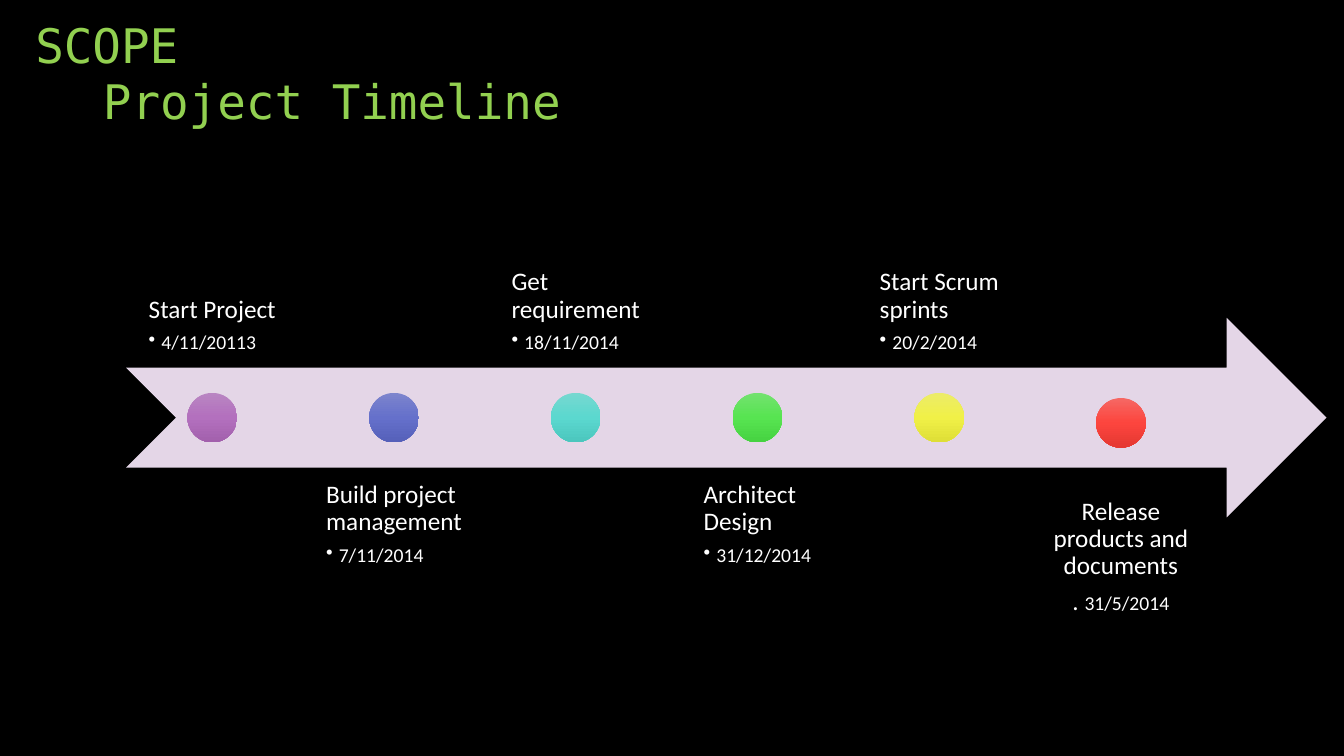
from copy import deepcopy

from lxml.etree import SubElement
from pptx import Presentation
from pptx.dml.color import RGBColor
from pptx.enum.shapes import MSO_SHAPE
from pptx.enum.text import MSO_ANCHOR, MSO_AUTO_SIZE, PP_ALIGN
from pptx.oxml.ns import qn
from pptx.util import Cm, Pt

HEADING = {"size": 34, "font": "DejaVu Sans Mono", "color": "92D050"}
DATE_SIZE = 14
STEP = 4.58  # distance between milestones
LABEL_WIDTH = 4.34
DOT = 1.25
LAST_DROP = 0.13  # the final dot sits slightly lower

MILESTONES = [
    ("Start Project", "4/11/20113", ("B985C2", "B370BE", "A260AC")),
    ("Build project management", "7/11/2014", ("7D85CD", "6570CB", "5560B9")),
    ("Get requirement", "18/11/2014", ("76D8D0", "5BD8CF", "4BC6BD")),
    ("Architect Design", "31/12/2014", ("73E26F", "57E451", "46D241")),
    ("Start Scrum sprints", "20/2/2014", ("ECEC69", "F0F047", "DEDE36")),
    ("Release products and documents", "31/5/2014", ("F66864", "FC453E", "E53832")),
]


def rgb(value):
    return RGBColor.from_string(value)


def write(paragraph, text, size=18, font="Calibri", color="FFFFFF",
          align=PP_ALIGN.LEFT, after=0, bullet=False):
    """Add a formatted run and format its paragraph."""
    if bullet:
        paragraph.level = 1
        properties = paragraph._p.get_or_add_pPr()
        properties.set("marL", str(Cm(0.32)))
        properties.set("indent", str(-Cm(0.32)))
        SubElement(properties, qn("a:buChar")).set("char", "•")
    paragraph.alignment = align
    paragraph.line_spacing = 0.9
    paragraph.space_before = Pt(0)
    paragraph.space_after = Pt(after)
    run = paragraph.add_run()
    run.text = text
    run.font.size = Pt(size)
    run.font.name = font
    run.font.color.rgb = rgb(color)


def prepare_frame(shape, anchor, inset=None):
    frame = shape.text_frame
    frame.word_wrap = True
    frame.auto_size = MSO_AUTO_SIZE.NONE
    frame.vertical_anchor = anchor
    if inset is not None:
        frame.margin_left = frame.margin_right = Cm(inset)
        frame.margin_top = frame.margin_bottom = Cm(inset)
    return frame


def add_plain_shape(slide, kind, left, top, width, height):
    shape = slide.shapes.add_shape(kind, Cm(left), Cm(top), Cm(width), Cm(height))
    shape.shadow.inherit = False
    shape.line.fill.background()
    shape.fill.background()
    return shape


def add_heading(slide, left, top, width):
    # Title line, indented below the section name
    title = slide.shapes.title
    title.left, title.top = Cm(left + 1.7), Cm(top + 1.27)
    title.width, title.height = Cm(width), Cm(1.7)
    write(prepare_frame(title, MSO_ANCHOR.BOTTOM).paragraphs[0],
          "Project Timeline", **HEADING)

    # Section name
    section = slide.shapes.add_textbox(Cm(left), Cm(top), Cm(width), Cm(1.8))
    write(prepare_frame(section, MSO_ANCHOR.TOP).paragraphs[0], "SCOPE", **HEADING)


def add_dot(slide, left, top, colors):
    dot = add_plain_shape(slide, MSO_SHAPE.OVAL, left, top, DOT, DOT)
    dot.fill.gradient()
    dot.fill.gradient_angle = 270
    # A new gradient has two stops; add the middle one
    first_stop = dot._element.spPr.find(".//" + qn("a:gs"))
    first_stop.addnext(deepcopy(first_stop))
    for stop, color, position in zip(dot.fill.gradient_stops, colors, (0, 0.5, 1)):
        stop.color.rgb = rgb(color)
        stop.position = position


def add_label(slide, left, top, height, name, date, above, last):
    label = add_plain_shape(slide, MSO_SHAPE.RECTANGLE, left, top, LABEL_WIDTH, height)
    frame = prepare_frame(label, MSO_ANCHOR.BOTTOM if above else MSO_ANCHOR.TOP, 0.36)
    # Centre the text block while its lines stay left-aligned
    label._element.txBody.find(qn("a:bodyPr")).set("anchorCtr", "1")
    align = PP_ALIGN.CENTER if last else PP_ALIGN.LEFT
    write(frame.paragraphs[0], name, align=align, after=6.3)
    date_line = frame.add_paragraph()
    if last:
        write(date_line, ". ", align=align)
        write(date_line, date, size=DATE_SIZE, align=align, after=6.3)
    else:
        write(date_line, date, size=DATE_SIZE, after=2.1, bullet=True)


def add_timeline(slide, left, top, width, height):
    # Arrow
    arrow = add_plain_shape(slide, MSO_SHAPE.NOTCHED_RIGHT_ARROW, left, top, width, height)
    arrow.fill.solid()
    arrow.fill.fore_color.rgb = rgb("E4D6E7")

    # Milestones, with labels alternating above and below the shaft
    for index, (name, date, colors) in enumerate(MILESTONES):
        above = index % 2 == 0
        last = index == len(MILESTONES) - 1
        label_left = left + index * STEP
        label_top = top - 0.75 * height if above else top + 0.75 * height
        label_height = height
        dot_top = top + (height - DOT) / 2
        if last:
            label_top += 0.42
            label_height = 4.47
            dot_top += LAST_DROP
        add_label(slide, label_left, label_top, label_height, name, date, above, last)
        add_dot(slide, label_left + (LABEL_WIDTH - DOT) / 2, dot_top, colors)


def main():
    presentation = Presentation()
    presentation.slide_width, presentation.slide_height = Cm(33.87), Cm(19.05)
    slide = presentation.slides.add_slide(presentation.slide_layouts[5])
    slide.background.fill.solid()
    slide.background.fill.fore_color.rgb = rgb("000000")
    add_heading(slide, 0.64, 0.43, 25.4)
    add_timeline(slide, 3.18, 8.01, 30.25, 5.03)
    presentation.save("out.pptx")


if __name__ == "__main__":
    main()
